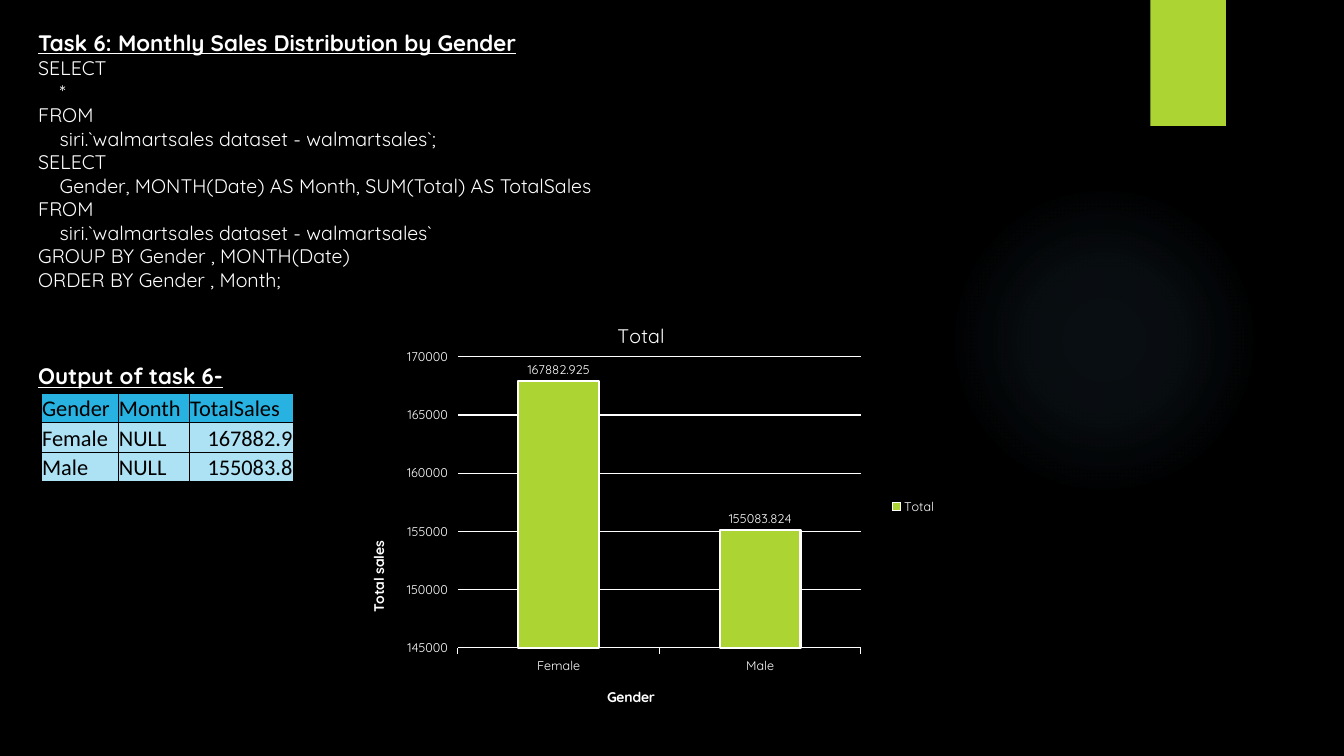
from lxml.etree import SubElement
from pptx import Presentation
from pptx.chart.data import CategoryChartData
from pptx.dml.color import RGBColor
from pptx.enum.chart import (XL_CHART_TYPE as ChartType, XL_LABEL_POSITION as LabelPosition,
                             XL_LEGEND_POSITION as LegendPosition, XL_TICK_MARK as TickMark)
from pptx.enum.shapes import MSO_SHAPE as Preset
from pptx.enum.text import MSO_ANCHOR as Anchor, PP_ALIGN as Align
from pptx.oxml import parse_xml
from pptx.oxml.ns import nsdecls, qn
from pptx.util import Pt

COLORS = {"black": "000000", "white": "FFFFFF", "lime": "ACD433",
          "glow": "7AC4F0", "head": "27B2E1", "body": "ACE2F4"}
FONT = "Quicksand"
TASK = "Task 6: Monthly Sales Distribution by Gender"
QUERY = [
    "SELECT",
    "    *",
    "FROM",
    "    siri.`walmartsales dataset - walmartsales`;",
    "SELECT",
    "    Gender, MONTH(Date) AS Month, SUM(Total) AS TotalSales",
    "FROM",
    "    siri.`walmartsales dataset - walmartsales`",
    "GROUP BY Gender , MONTH(Date)",
    "ORDER BY Gender , Month;",
]
OUTPUT = "Output of task 6-"
RESULT = [("Gender", "Month", "TotalSales"),
          ("Female", "NULL", "167882.9"),
          ("Male", "NULL", "155083.8")]
RESULT_WIDTHS = (54.9, 50.9, 74.2)
ROW_HEIGHT = 21.1
TOTALS = {"Female": 167882.925, "Male": 155083.824}
GLOW_STOPS = ((0, 7), (36, 6), (69, 0))


def rgb(name):
    return RGBColor.from_string(COLORS[name])


def style(font, size, color="white", face=FONT, bold=False, underline=None):
    font.size, font.name, font.bold = Pt(size), face, bold
    font.color.rgb = rgb(color)
    if underline:
        font.underline = True


def add_glow(slide):
    glow = slide.shapes.add_shape(Preset.OVAL, Pt(677.5), Pt(131.8), Pt(221.8), Pt(221.8))
    glow.shadow.inherit = False
    glow.line.fill.background()
    glow.fill.gradient()
    stops = "".join(
        f'<a:gs pos="{place * 1000}"><a:srgbClr val="{COLORS["glow"]}">'
        f'<a:alpha val="{alpha * 1000}"/></a:srgbClr></a:gs>' for place, alpha in GLOW_STOPS)
    fade = parse_xml(
        f'<a:gradFill {nsdecls("a")} rotWithShape="1"><a:gsLst>{stops}</a:gsLst>'
        '<a:path path="circle"><a:fillToRect l="50000" t="50000" r="50000" b="50000"/>'
        '</a:path></a:gradFill>')
    properties = glow.element.spPr
    properties.replace(properties.find(qn("a:gradFill")), fade)


def add_tab(slide):
    tab = slide.shapes.add_shape(Preset.RECTANGLE, Pt(821.7), 0, Pt(54), Pt(90))
    tab.shadow.inherit = False
    tab.fill.solid()
    tab.fill.fore_color.rgb = rgb("lime")
    tab.line.fill.background()


def add_text(slide, top, height, heading, lines=()):
    frame = slide.shapes.add_textbox(Pt(20.2), Pt(top), Pt(916.6), Pt(height)).text_frame
    frame.word_wrap = True
    frame.text = "\n".join([heading, *lines])
    for paragraph in frame.paragraphs:
        style(paragraph.font, 14)
    style(frame.paragraphs[0].font, 16, bold=True, underline=True)


def add_borders(cell):
    properties = cell._tc.get_or_add_tcPr()
    for place, side in enumerate(("lnL", "lnR", "lnT", "lnB")):
        properties.insert(place, parse_xml(
            f'<a:{side} {nsdecls("a")} w="6350"><a:solidFill>'
            f'<a:srgbClr val="{COLORS["black"]}"/></a:solidFill></a:{side}>'))


def add_result(slide):
    table = slide.shapes.add_table(
        len(RESULT), len(RESULT_WIDTHS), Pt(29.5), Pt(280.8),
        Pt(sum(RESULT_WIDTHS)), Pt(ROW_HEIGHT * len(RESULT))).table
    for column, width in zip(table.columns, RESULT_WIDTHS):
        column.width = Pt(width)
    for r, record in enumerate(RESULT):
        table.rows[r].height = Pt(ROW_HEIGHT)
        for c, value in enumerate(record):
            cell = table.cell(r, c)
            cell.margin_left = cell.margin_right = cell.margin_top = Pt(0.6)
            cell.margin_bottom = 0
            cell.vertical_anchor = Anchor.BOTTOM
            cell.fill.solid()
            cell.fill.fore_color.rgb = rgb("body" if r else "head")
            cell.text = value
            paragraph = cell.text_frame.paragraphs[0]
            style(paragraph.font, 16, "black", "Calibri")
            if r and c == 2:
                paragraph.alignment = Align.RIGHT
            add_borders(cell)


def place(part, index, **settings):
    for old in part.findall(qn("c:layout")):
        part.remove(old)
    layout = parse_xml(f'<c:layout {nsdecls("c")}><c:manualLayout/></c:layout>')
    for key, value in settings.items():
        SubElement(layout[0], qn(f"c:{key}")).set("val", str(value))
    part.insert(index, layout)


def title_axis(axis, label, x, y):
    frame = axis.axis_title.text_frame
    frame.text = label
    style(frame.paragraphs[0].font, 10, bold=True)
    place(axis.axis_title._element, 1, xMode="edge", yMode="edge", x=x, y=y)
    return frame


def add_sales_chart(slide):
    sales = CategoryChartData()
    sales.categories = list(TOTALS)
    sales.add_series("Total", list(TOTALS.values()))
    chart = slide.shapes.add_chart(ChartType.COLUMN_CLUSTERED, Pt(239.8), Pt(217.4),
                                   Pt(436.3), Pt(289.4), sales).chart
    style(chart.font, 10)
    chart.has_title = True
    chart.chart_title.text_frame.text = "Total"
    style(chart.chart_title.text_frame.paragraphs[0].font, 14)
    chart.has_legend = True
    chart.legend.position = LegendPosition.RIGHT
    chart.legend.include_in_layout = False
    style(chart.legend.font, 9)

    plot = chart.plots[0]
    plot.gap_width = 150
    plot.vary_by_categories = False
    total = plot.series[0]
    total.format.fill.solid()
    total.format.fill.fore_color.rgb = rgb("lime")
    total.format.line.color.rgb = rgb("white")
    total.format.line.width = Pt(1.5)
    labels = total.data_labels
    labels.show_value = True
    labels.position = LabelPosition.OUTSIDE_END
    style(labels.font, 9)

    genders, amounts = chart.category_axis, chart.value_axis
    for axis in (genders, amounts):
        axis.major_tick_mark = TickMark.OUTSIDE
        style(axis.tick_labels.font, 9)
    amounts.minimum_scale, amounts.maximum_scale, amounts.major_unit = 145000, 170000, 5000
    amounts.format.line.fill.background()
    for line in (genders.format.line, amounts.major_gridlines.format.line):
        line.color.rgb = rgb("white")
        line.width = Pt(0.75)
    title_axis(genders, "Gender", 0.44, 0.94)
    upright = title_axis(amounts, "Total sales", 0.05, 0.58)
    upright._txBody.bodyPr.set("rot", "-5400000")
    upright._txBody.bodyPr.set("vert", "horz")
    place(chart._chartSpace.chart.plotArea, 0, layoutTarget="inner", xMode="edge",
          yMode="edge", x=0.2, y=0.13, w=0.66, h=0.72)


def main():
    """Build the slide on monthly sales by gender."""
    deck = Presentation()
    deck.slide_width, deck.slide_height = Pt(960), Pt(540)
    slide = deck.slides.add_slide(deck.slide_layouts[6])
    slide.background.fill.solid()
    slide.background.fill.fore_color.rgb = rgb("black")
    add_glow(slide)
    add_tab(slide)
    add_text(slide, 17.3, 196, TASK, QUERY)
    add_text(slide, 255.4, 27, OUTPUT)
    add_result(slide)
    add_sales_chart(slide)
    deck.save("out.pptx")


if __name__ == "__main__":
    main()
